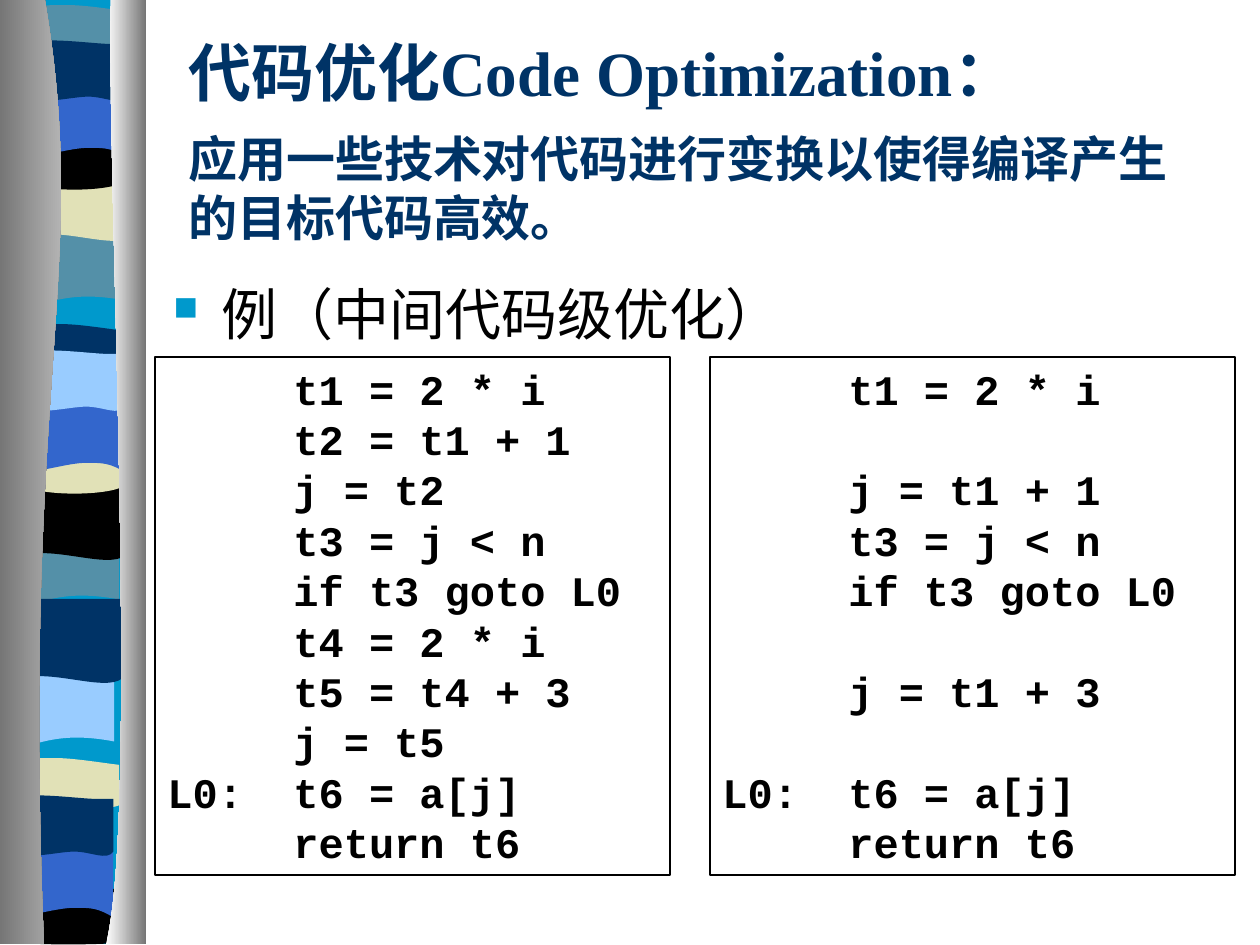
from dataclasses import dataclass

from lxml import etree
from pptx import Presentation
from pptx.dml.color import RGBColor
from pptx.enum.shapes import MSO_SHAPE
from pptx.enum.text import MSO_ANCHOR, PP_ALIGN
from pptx.oxml.ns import qn
from pptx.util import Emu, Pt

RECT = MSO_SHAPE.RECTANGLE
TOP, MIDDLE = MSO_ANCHOR.TOP, MSO_ANCHOR.MIDDLE
LEFT = PP_ALIGN.LEFT
PX = 7257  # EMU per pixel at 126 pixels to the inch
WIDTH, HEIGHT = 1260, 945
SQUEEZE, STRETCH = 0.74, 1.35  # width and height factors of a wave


@dataclass(frozen=True)
class Theme:
    """Colours, fonts and type sizes of the slide."""
    ink: str = "000000"
    navy: str = "003366"
    cyan: str = "0099CC"
    teal: str = "5490A8"
    sand: str = "E1E1B7"
    blue: str = "3366CC"
    sky: str = "99CCFF"
    dark: str = "767676"
    silver: str = "D2D2D2"
    white: str = "FFFFFF"
    title_font: str = "Times New Roman"
    body_font: str = "Arial"
    code_font: str = "Courier New"
    title: int = 36
    subtitle: int = 28
    body: int = 32
    code: int = 24
    code_pitch: float = 28.8


T = Theme()

# Each wave is an outline in pixels: 2 numbers for a line, 6 for a curve.
SAG = [(137, 0), (137, 59), (43, 49, 23, 69, 0, 59), (0, 0)]
RIPPLE = [(137, 0), (137, 59), (114, 69, 42, 52, 0, 59), (0, 0)]
DOME = [(137, 6), (137, 36), (114, 41, 23, 41, 0, 36), (0, 6),
        (9, 0, 30, 1, 53, 1), (76, 1, 120, 5, 137, 6)]
BOWL = [(137, 0), (137, 40), (114, 48, 23, 48, 0, 40), (0, 0),
        (84, 6, 108, 0, 137, 0)]
ARCH = [(137, 0), (137, 59), (116, 52, 107, 52, 84, 52),
        (61, 52, 20, 59, 0, 59), (0, 0)]
FLAG = [(137, 6), (137, 45), (128, 52, 107, 45, 84, 45),
        (62, 45, 14, 52, 0, 45), (0, 6), (19, 0, 92, 6, 115, 6),
        (139, 6, 132, 6, 137, 6)]
WAVES = [SAG, RIPPLE, DOME, BOWL, ARCH, FLAG]

# Three runs of the six waves: left, top, colour.
BANDS = [
    [(6, 233, T.teal), (13, 169, T.sand), (13, 11, T.teal),
     (6, 136, T.ink), (8, 88, T.blue), (8, 45, T.navy)],
    [(0, 532, T.teal), (6, 488, T.ink), (6, 330, T.navy),
     (6, 440, T.sand), (6, 403, T.blue), (6, 355, T.sky)],
    [(-5, 674, T.sky), (3, 611, T.navy), (0, 764, T.sand),
     (0, 897, T.ink), (-6, 848, T.blue), (-6, 800, T.navy)],
]
BACKING = [(25, 0), (137, 0), (137, 944), (25, 944)]
LEFT_POST = [(45, 0), (91, 272, 21, 373, 44, 944), (0, 944), (0, 0)]
RIGHT_POST = [(111, 0), (106, 158, 140, 814, 106, 944), (146, 944), (146, 0)]

# Each inner list is a block; one removed row lies between two blocks.
CODE_BEFORE = [["\tt1 = 2 * i", "\tt2 = t1 + 1", "\tj = t2", "\tt3 = j < n",
                "\tif t3 goto L0", "\tt4 = 2 * i", "\tt5 = t4 + 3",
                "\tj = t5", "L0: \tt6 = a[j]", "\treturn t6"]]
CODE_AFTER = [["\tt1 = 2 * i"],
              ["\tj = t1 + 1", "\tt3 = j < n", "\tif t3 goto L0"],
              ["\tj = t1 + 3"],
              ["L0: \tt6 = a[j]", "\treturn t6"]]


def rgb(value):
    """Turn a hex string into a colour."""
    return RGBColor.from_string(value)


def box(*pixels):
    """Turn pixel lengths into EMU."""
    return [Emu(v * PX) for v in pixels]


def pairs(seg):
    """Split a segment into its points."""
    return list(zip(seg[::2], seg[1::2]))


def place_wave(wave, left, top):
    """Scale a wave about its centre and keep it on the slide."""
    points = [p for seg in wave for p in pairs(seg)]
    cx, cy = (max(axis) / 2 for axis in zip(*points))
    placed = []
    for seg in wave:
        flat = []
        for x, y in pairs(seg):
            flat.append(left + cx + (x - cx) * SQUEEZE)
            flat.append(min(HEIGHT, max(0, top + cy + (y - cy) * STRETCH)))
        placed.append(flat)
    return placed


def add_outline(slide, outline, *colors):
    """Draw a closed outline with one colour or a left-to-right gradient."""
    points = [(round(x * PX), round(y * PX)) for seg in outline for x, y in pairs(seg)]
    builder = slide.shapes.build_freeform(*points[0])
    builder.add_line_segments(points[1:], close=True)
    sp = builder.convert_to_shape()
    lines = iter(list(sp._element.iter(qn("a:lnTo"))))
    for seg in outline[1:]:
        group = [next(lines) for _ in pairs(seg)]
        if len(group) == 3:
            curve = etree.Element(qn("a:cubicBezTo"))
            group[0].addprevious(curve)
            for line in group:
                curve.append(line[0])
                line.getparent().remove(line)
    sp.shadow.inherit = False
    sp.line.fill.background()
    if len(colors) == 1:
        sp.fill.solid()
        sp.fill.fore_color.rgb = rgb(colors[0])
    else:
        sp.fill.gradient()
        sp.fill.gradient_angle = 0
        for stop, color in zip(sp.fill.gradient_stops, colors):
            stop.color.rgb = rgb(color)


def add_text(tf, *lines, font, size, color, bold=False, before=0, pitch=None):
    """Write one paragraph of one or more lines and return it."""
    p = tf.paragraphs[0]
    if p.runs:
        p = tf.add_paragraph()
    p.alignment = LEFT
    p.space_before = Pt(before)
    if pitch:
        p.line_spacing = Pt(pitch)
    for i, line in enumerate(lines):
        if i:
            p.add_line_break()
        r = p.add_run()
        r.text = line
        r.font.name, r.font.size, r.font.bold = font, Pt(size), bold
        r.font.color.rgb = rgb(color)
    return p


def add_frame(slide, *pixels, anchor=TOP):
    """Add a wrapping text box and return its text frame."""
    tf = slide.shapes.add_textbox(*box(*pixels)).text_frame
    tf.word_wrap = True
    tf.vertical_anchor = anchor
    return tf


def add_bullet(p, char, color, percent, indent):
    """Give a paragraph a hanging bullet."""
    pPr = p._p.get_or_add_pPr()
    pPr.set("marL", str(indent * PX))
    pPr.set("indent", str(-indent * PX))
    clr = etree.SubElement(pPr, qn("a:buClr"))
    etree.SubElement(clr, qn("a:srgbClr"), val=color)
    etree.SubElement(pPr, qn("a:buSzPct"), val=str(percent * 1000))
    etree.SubElement(pPr, qn("a:buChar"), char=char)


def add_tab(p, position):
    """Set one left tab stop."""
    tabs = etree.SubElement(p._p.get_or_add_pPr(), qn("a:tabLst"))
    etree.SubElement(tabs, qn("a:tab"), pos=str(position * PX), algn="l")


def add_code(slide, blocks, *pixels):
    """Draw a framed listing with one row of space between blocks."""
    sp = slide.shapes.add_shape(RECT, *box(*pixels))
    sp.shadow.inherit = False
    sp.fill.background()
    sp.line.color.rgb = rgb(T.ink)
    sp.line.width = Pt(1.25)
    tf = sp.text_frame
    tf.word_wrap = True
    tf.vertical_anchor = TOP
    for i, block in enumerate(blocks):
        p = add_text(tf, *block, font=T.code_font, size=T.code, color=T.ink, bold=True,
                     before=T.code_pitch if i else 0, pitch=T.code_pitch)
        add_tab(p, 126)


def add_ribbon(slide):
    """Draw the wavy colour ribbon between its two grey posts."""
    add_outline(slide, BACKING, T.cyan)
    for run in BANDS:
        for wave, (left, top, color) in zip(WAVES, run):
            add_outline(slide, place_wave(wave, left, top), color)
    add_outline(slide, LEFT_POST, T.dark, T.silver)
    add_outline(slide, RIGHT_POST, T.white, T.dark)


def main():
    """Build the slide and save it."""
    prs = Presentation()
    prs.slide_width, prs.slide_height = box(WIDTH, HEIGHT)
    slide = prs.slides.add_slide(prs.slide_layouts[6])
    add_ribbon(slide)
    tf = add_frame(slide, 176, 26, 1040, 228, anchor=MIDDLE)
    style = dict(font=T.title_font, color=T.navy, bold=True)
    add_text(tf, "代码优化Code Optimization：", size=T.title, **style)
    add_text(tf, "应用一些技术对代码进行变换以使得编译产生的目标代码高效。",
             size=T.subtitle, before=11, **style)
    tf = add_frame(slide, 161, 273, 1071, 567)
    p = add_text(tf, "例（中间代码级优化）", font=T.body_font, size=T.body, color=T.ink)
    add_bullet(p, "■", T.cyan, 60, 48)
    add_code(slide, CODE_BEFORE, 155, 357, 515, 518)
    add_code(slide, CODE_AFTER, 710, 357, 525, 518)
    prs.save("out.pptx")


main()
